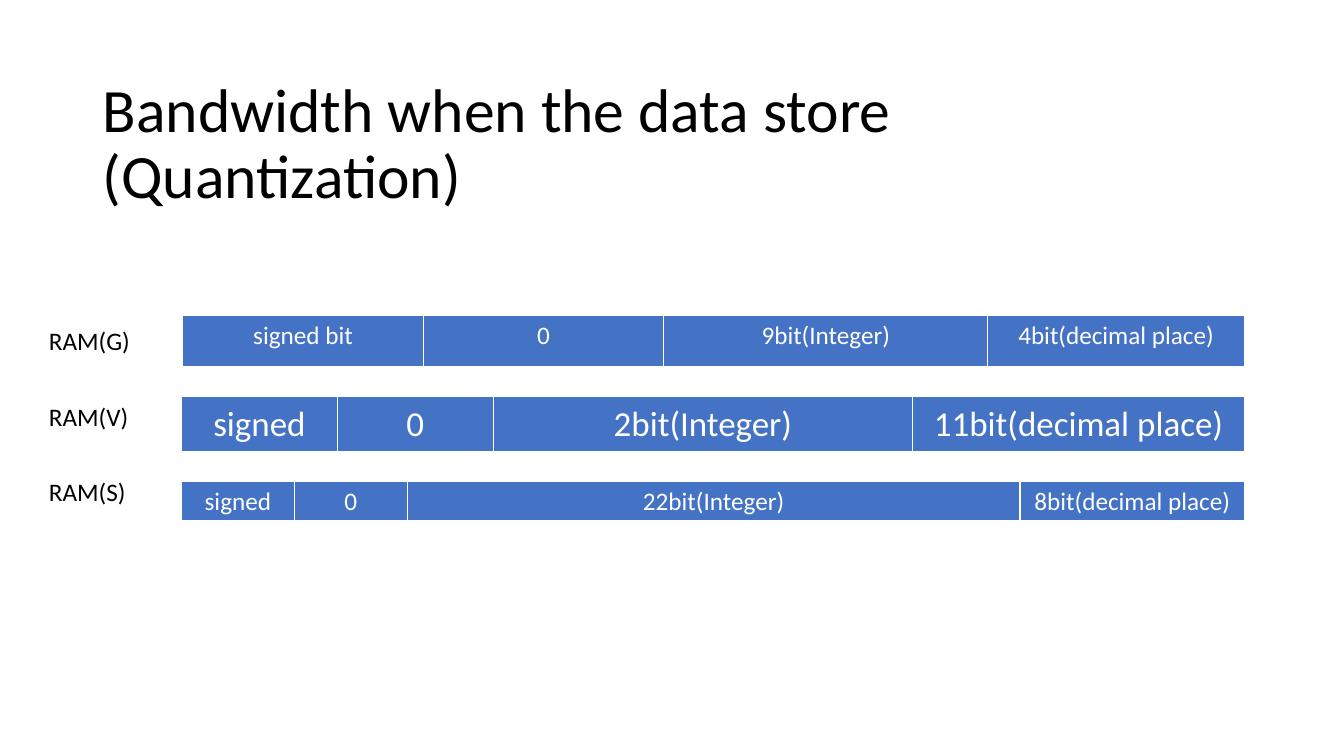
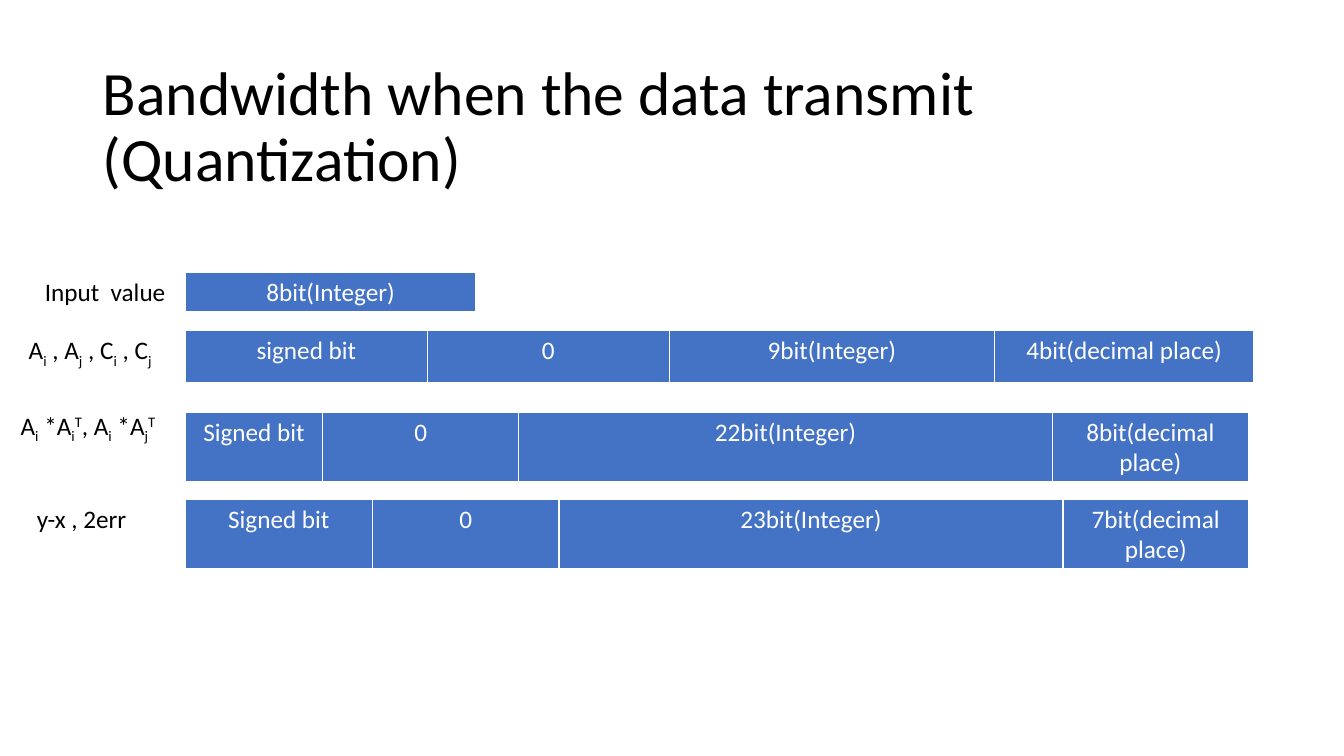
from lxml import etree
from pptx import Presentation
from pptx.dml.color import RGBColor
from pptx.enum.text import MSO_ANCHOR as Anchor, MSO_AUTO_SIZE as AutoSize, PP_ALIGN as Align
from pptx.oxml.ns import qn
from pptx.util import Inches, Pt

COLORS = {"ink": "000000", "bar": "4472C4", "light": "FFFFFF"}
BASELINES = {"_": "-25000", "^": "30000"}
BORDERS = {"a:lnL": 1, "a:lnR": 1, "a:lnT": 1, "a:lnB": 3}
TITLE_ONLY = 5


class Deck:
    """Places elements on the current slide; lengths are percent of its size."""

    font_name = "Calibri"
    text_size = 18
    title_size = 44
    label_height = 5.3

    def __init__(self):
        self.prs = Presentation()
        self.prs.slide_width = Inches(13.33)
        self.prs.slide_height = Inches(7.5)
        self.slide = None

    def across(self, share):
        return round(self.prs.slide_width * share / 100)

    def down(self, share):
        return round(self.prs.slide_height * share / 100)

    def area(self, left, top, width, height):
        return self.across(left), self.down(top), self.across(width), self.down(height)

    def style(self, font, size, color):
        font.name = self.font_name
        font.size = Pt(size)
        font.bold = False
        font.color.rgb = RGBColor.from_string(COLORS[color])

    def titled_slide(self, title, top):
        self.slide = self.prs.slides.add_slide(self.prs.slide_layouts[TITLE_ONLY])
        heading = self.slide.shapes.title
        heading.left, heading.top, heading.width, heading.height = self.area(
            6.9, top, 86.25, 19.33)
        frame = heading.text_frame
        frame.word_wrap = True
        frame.auto_size = AutoSize.NONE
        frame.vertical_anchor = Anchor.MIDDLE
        paragraph = frame.paragraphs[0]
        paragraph.text = title
        paragraph.alignment = Align.LEFT
        paragraph.line_spacing = 0.9
        for run in paragraph.runs:
            self.style(run.font, self.title_size, "ink")

    def label(self, parts, left, top, width=10):
        """Write the parts in a row; a leading _ lowers a part, a leading ^ raises it."""
        box = self.slide.shapes.add_textbox(*self.area(left, top, width, self.label_height))
        frame = box.text_frame
        frame.word_wrap = True
        frame.auto_size = AutoSize.SHAPE_TO_FIT_TEXT
        for part in parts:
            run = frame.paragraphs[0].add_run()
            run.text = part.lstrip("_^")
            self.style(run.font, self.text_size, "ink")
            if part[0] in BASELINES:
                run.font._element.set("baseline", BASELINES[part[0]])

    def bit_bar(self, fields, left, top, height, size=text_size, inset=0.1):
        """Draw one word of memory; fields are (text, width) pairs."""
        total = sum(width for _, width in fields)
        table = self.slide.shapes.add_table(
            1, len(fields), *self.area(left, top, total, height)).table
        for column, cell, (text, width) in zip(table.columns, table.rows[0].cells, fields):
            column.width = self.across(width)
            cell.margin_left = cell.margin_right = Inches(inset)
            cell.margin_top = cell.margin_bottom = Inches(inset / 2)
            self.edge(cell)
            cell.fill.solid()
            cell.fill.fore_color.rgb = RGBColor.from_string(COLORS["bar"])
            paragraph = cell.text_frame.paragraphs[0]
            paragraph.text = text
            paragraph.alignment = Align.CENTER
            self.style(paragraph.runs[0].font, size, "light")

    def edge(self, cell):
        properties = cell._tc.get_or_add_tcPr()
        for tag, points in BORDERS.items():
            line = etree.SubElement(properties, qn(tag), w=str(Pt(points)))
            fill = etree.SubElement(line, qn("a:solidFill"))
            etree.SubElement(fill, qn("a:srgbClr"), val=COLORS["light"])


def storage_slide(deck):
    deck.titled_slide("Bandwidth when the data store\n(Quantization)", 9.6)
    for row, memory in enumerate(["RAM(G)", "RAM(V)", "RAM(S)"]):
        deck.label([memory], 2.9, 42.4 + 10 * row)
    deck.bit_bar([("signed bit", 17.9), ("0", 17.9), ("9bit(Integer)", 24.1),
                  ("4bit(decimal place)", 19.1)], 13.6, 41.7, 6.9)
    deck.bit_bar([("signed", 11.6), ("0", 11.6), ("2bit(Integer)", 31.2),
                  ("11bit(decimal place)", 24.7)], 13.5, 52.4, 7.5, size=25, inset=0.14)
    deck.bit_bar([("signed", 8.4), ("0", 8.4), ("22bit(Integer)", 45.6),
                  ("8bit(decimal place)", 16.7)], 13.5, 63.7, 5.3)


def transmission_slide(deck):
    deck.titled_slide("Bandwidth when the data transmit (Quantization)", 7.33)
    deck.label(["Input  value"], 2.6, 35.9, 10.7)
    deck.label(["A", "_i", " , A", "_j", " , C", "_i", " , C", "_j"], 1.4, 43.6, 11.6)
    deck.label(["A", "_i", " *A", "_i", "^T", ", A", "_i", " *A", "_j", "^T"],
               0.8, 53.6, 12.5)
    deck.label(["y-x , 2err"], 2, 65.9)

    signals = [
        (36, 5.3, [("8bit(Integer)", 21.6)]),
        (43.7, 7.1, [("signed bit", 18), ("0", 18), ("9bit(Integer)", 24.2),
                     ("4bit(decimal place)", 19.3)]),
        (54.5, 9.3, [("Signed bit", 10.2), ("0", 14.6), ("22bit(Integer)", 39.7),
                     ("8bit(decimal place)", 14.6)]),
        (66, 9.3, [("Signed bit", 13.9), ("0", 13.9), ("23bit(Integer)", 37.5),
                   ("7bit(decimal place)", 13.8)]),
    ]
    for top, height, fields in signals:
        deck.bit_bar(fields, 13.8, top, height)


def main():
    deck = Deck()
    storage_slide(deck)
    transmission_slide(deck)
    deck.prs.save("out.pptx")


if __name__ == "__main__":
    main()
